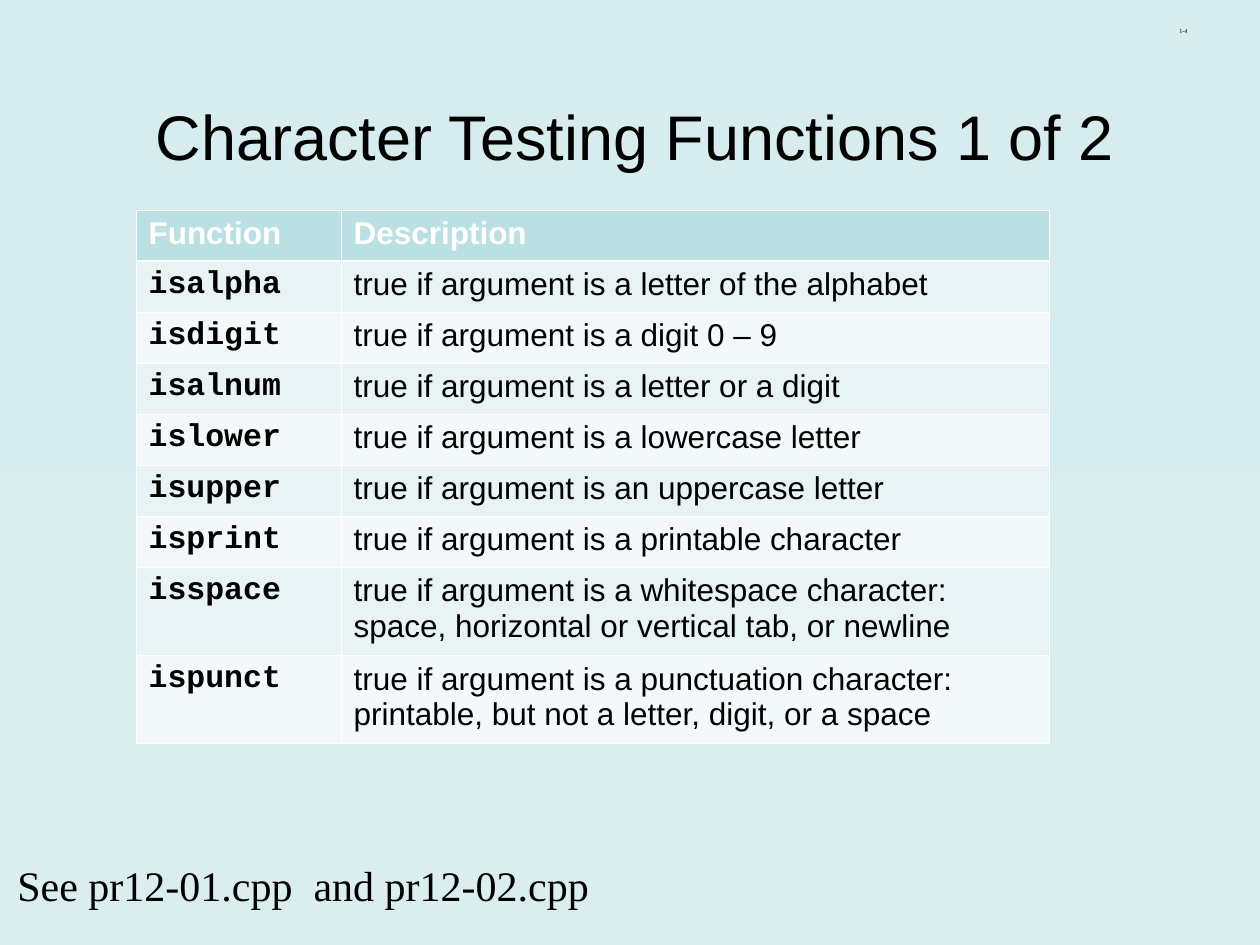
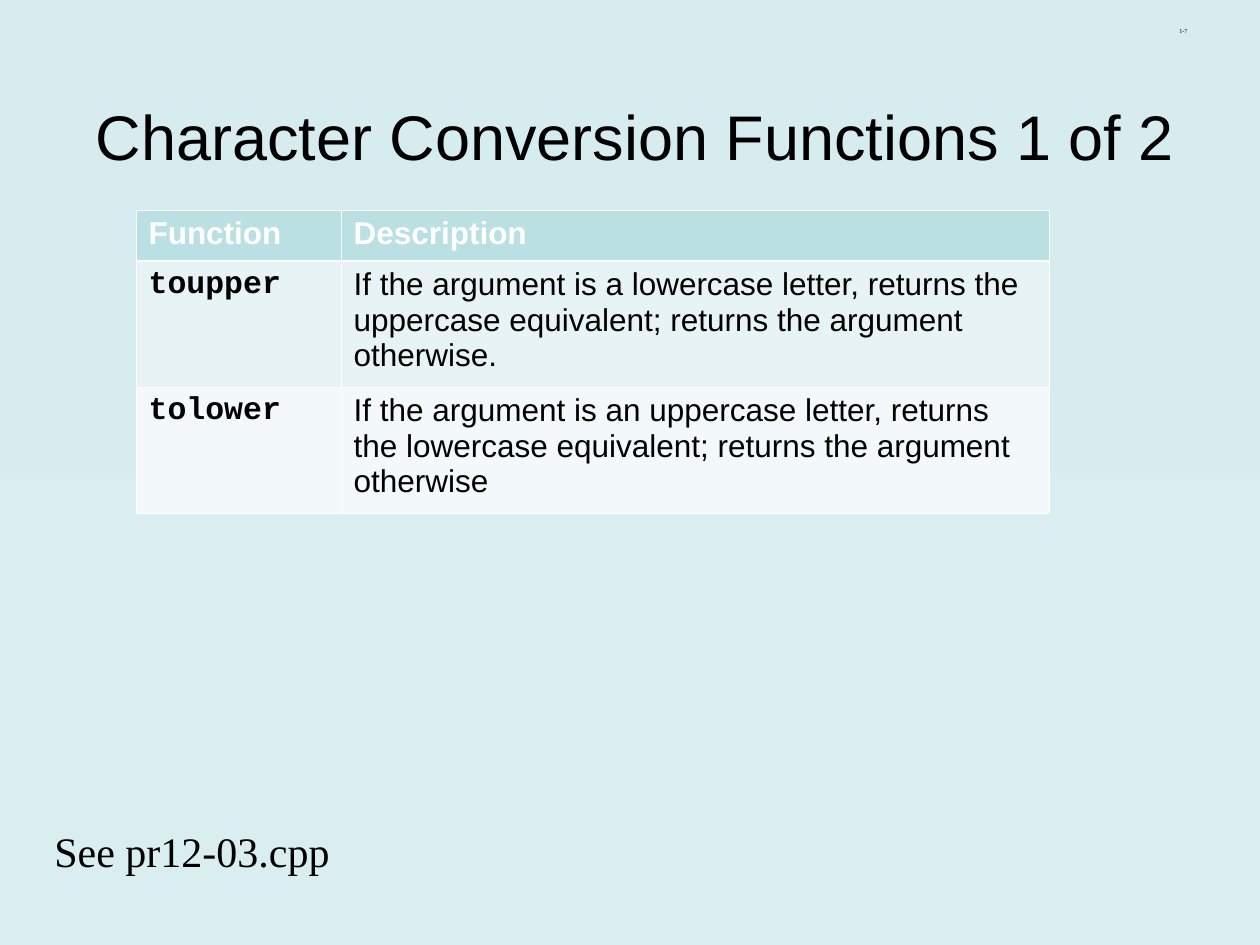
from dataclasses import dataclass

from lxml.etree import SubElement
from pptx import Presentation
from pptx.dml.color import RGBColor as RGB
from pptx.enum.text import MSO_ANCHOR as Anchor, MSO_AUTO_SIZE as AutoSize, PP_ALIGN as Align
from pptx.oxml.ns import qn
from pptx.util import Pt

EMU_PER_PX = 914400 / 126


@dataclass(frozen=True)
class Theme:
    ink: str = "000000"
    white: str = "FFFFFF"
    background_bottom: str = "DAEDEF"
    background_top: str = "D6ECEE"
    header_fill: str = "BBE0E3"
    band_fills: tuple = ("E7F3F4", "F3F9FA")
    sans: str = "Arial"
    serif: str = "Times New Roman"
    mono: str = "Courier New"
    title_size: int = 36
    reference_size: int = 24
    table_size: int = 18
    number_size: int = 6
    thin_border: float = 0.45
    thick_border: float = 1.47


COLUMN_WIDTHS = (205, 708)
ROW_HEIGHTS = {1: 51, 2: 88, 3: 126}  # by number of text lines

# Each row: function, description, number of text lines
TESTING_FUNCTIONS = [
    ("isalpha", "true if argument is a letter of the alphabet", 1),
    ("isdigit", "true if argument is a digit 0 – 9", 1),
    ("isalnum", "true if argument is a letter or a digit", 1),
    ("islower", "true if argument is a lowercase letter", 1),
    ("isupper", "true if argument is an uppercase letter", 1),
    ("isprint", "true if argument is a printable character", 1),
    ("isspace", "true if argument is a whitespace character: "
                "space, horizontal or vertical tab, or newline", 2),
    ("ispunct", "true if argument is a punctuation character: "
                "printable, but not a letter, digit, or a space", 2),
]
CONVERSION_FUNCTIONS = [
    ("toupper", "If the argument is a lowercase letter, returns the "
                "uppercase equivalent; returns the argument otherwise.", 3),
    ("tolower", "If the argument is an uppercase letter, returns the "
                "lowercase equivalent; returns the argument otherwise", 3),
]


def px(length):
    return round(length * EMU_PER_PX)


class Deck:
    def __init__(self, theme):
        self.theme = theme
        self.slide = None
        self.presentation = Presentation()
        self.presentation.slide_width = px(1260)
        self.presentation.slide_height = px(945)
        self.paint_background()

    def paint_background(self):
        fill = self.presentation.slide_master.background.fill
        fill.gradient()
        fill.gradient_angle = 90
        colors = (self.theme.background_bottom, self.theme.background_top)
        for stop, color, position in zip(fill.gradient_stops, colors, (0, 1)):
            stop.color.rgb = RGB.from_string(color)
            stop.position = position

    def new_slide(self):
        self.slide = self.presentation.slides.add_slide(self.presentation.slide_layouts[6])

    def style(self, paragraph, font, size, color=None, bold=False):
        for run in paragraph.runs:
            run.font.name = font
            run.font.size = Pt(size)
            run.font.bold = bold
            run.font.color.rgb = RGB.from_string(color or self.theme.ink)

    def text(self, words, box, font, size, anchor=Anchor.TOP):
        """Place one styled paragraph; return its frame and paragraph."""
        frame = self.slide.shapes.add_textbox(*map(px, box)).text_frame
        frame.word_wrap = True
        frame.vertical_anchor = anchor
        frame.text = words
        paragraph = frame.paragraphs[0]
        self.style(paragraph, font, size)
        return frame, paragraph

    def title(self, words):
        _, heading = self.text(words, (42, 42, 1186, 137), self.theme.sans,
                               self.theme.title_size, Anchor.BOTTOM)
        heading.alignment = Align.CENTER

    def page_number(self, number):
        _, label = self.text(number, (1167, 15, 76, 25), self.theme.serif,
                             self.theme.number_size, Anchor.MIDDLE)
        label.line_spacing = 0.8
        label.runs[0]._r.get_or_add_rPr().set("baseline", "-25000")

    def reference(self, words, left, top):
        frame, note = self.text(words, (left, top, 630, 71), self.theme.serif,
                                self.theme.reference_size)
        frame.auto_size = AutoSize.SHAPE_TO_FIT_TEXT
        note.space_before = Pt(9)

    def borders(self, cell, top, bottom):
        thin = self.theme.thin_border
        properties = cell._tc.get_or_add_tcPr()
        for side, width in (("L", thin), ("R", thin), ("T", top), ("B", bottom)):
            line = SubElement(properties, qn(f"a:ln{side}"), w=str(Pt(width)))
            solid = SubElement(line, qn("a:solidFill"))
            SubElement(solid, qn("a:srgbClr"), val=self.theme.white)

    def cell(self, cell, words, fill, font, color, bold, top, bottom):
        cell.text = words
        self.style(cell.text_frame.paragraphs[0], font, self.theme.table_size, color, bold)
        self.borders(cell, top, bottom)
        cell.fill.solid()
        cell.fill.fore_color.rgb = RGB.from_string(fill)

    def function_table(self, functions):
        theme = self.theme
        rows = [("Function", "Description", 1), *functions]
        heights = [ROW_HEIGHTS[lines] for *_, lines in rows]
        box = (136, 210, sum(COLUMN_WIDTHS), sum(heights))
        table = self.slide.shapes.add_table(len(rows), len(COLUMN_WIDTHS), *map(px, box)).table
        for column, width in zip(table.columns, COLUMN_WIDTHS):
            column.width = px(width)
        for index, (name, description, _) in enumerate(rows):
            table.rows[index].height = px(heights[index])
            is_header = index == 0
            fill = theme.header_fill if is_header else theme.band_fills[(index - 1) % 2]
            color = theme.white if is_header else theme.ink
            top = theme.thick_border if index == 1 else theme.thin_border
            bottom = theme.thick_border if is_header else theme.thin_border
            name_font = theme.sans if is_header else theme.mono
            self.cell(table.cell(index, 0), name, fill, name_font, color, True, top, bottom)
            self.cell(table.cell(index, 1), description, fill, theme.sans, color,
                      is_header, top, bottom)

    def function_slide(self, title, number, functions, reference, reference_at):
        self.new_slide()
        self.title(title)
        self.page_number(number)
        self.function_table(functions)
        self.reference(reference, *reference_at)


def main():
    deck = Deck(Theme())
    deck.function_slide("Character Testing Functions 1 of 2", "1-4", TESTING_FUNCTIONS,
                        "See pr12-01.cpp  and pr12-02.cpp", (5, 853))
    deck.function_slide("Character Conversion Functions 1 of 2", "1-7", CONVERSION_FUNCTIONS,
                        "See pr12-03.cpp", (42, 819))
    deck.presentation.save("out.pptx")


if __name__ == "__main__":
    main()
